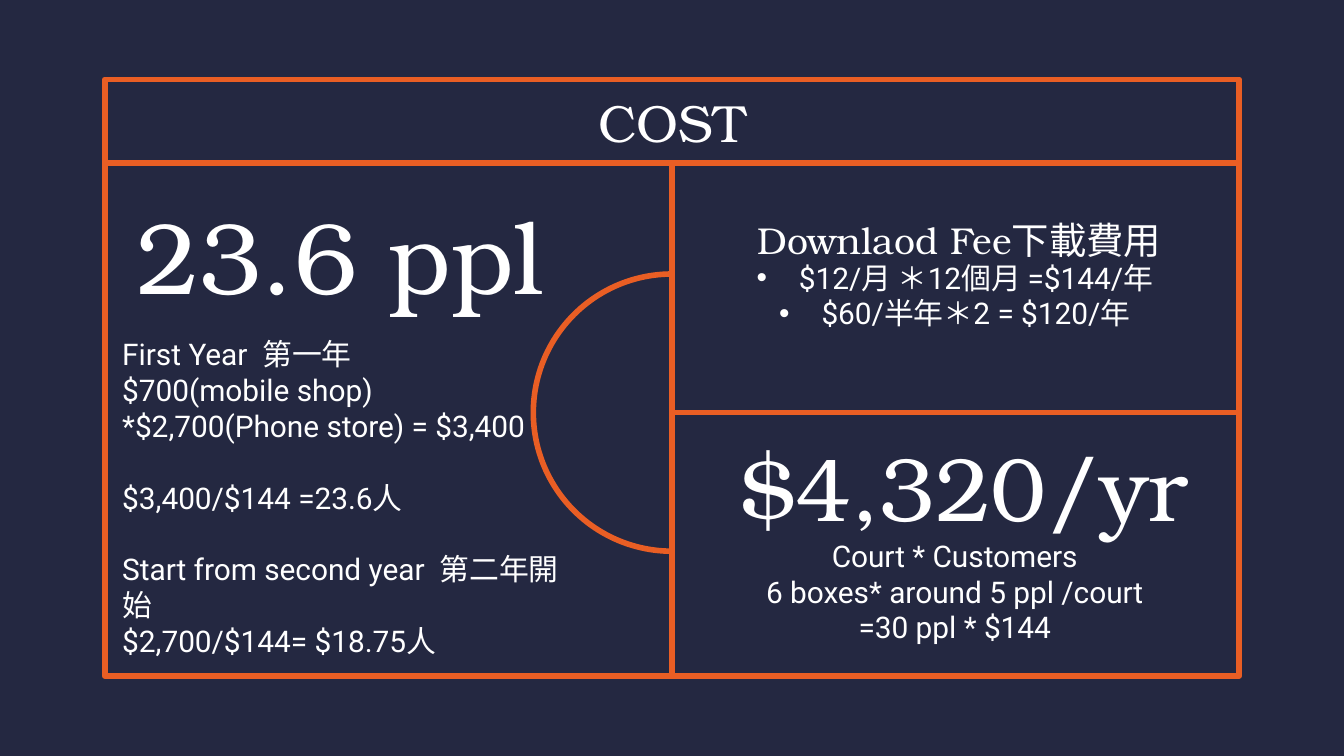
from lxml import etree
from pptx import Presentation, util as u
from pptx.dml.color import RGBColor
from pptx.enum import shapes as sh, text as tx
from pptx.oxml import ns

NAVY = RGBColor(0x24, 0x28, 0x41)
FLAME = RGBColor(0xE9, 0x5E, 0x24)
WHITE = RGBColor(0xFF, 0xFF, 0xFF)
SERIF, SANS = "TeX Gyre Bonum", "Roboto"
LEFT, MID = tx.PP_ALIGN.LEFT, tx.PP_ALIGN.CENTER
TOP, CORE = tx.MSO_ANCHOR.TOP, tx.MSO_ANCHOR.MIDDLE


def put(obj, form):
    for key, val in form.items():
        setattr(obj, key, val)


def place(part, box, x, y, w, h):
    put(part, dict(left=u.Cm(box[0] + x), top=u.Cm(box[1] + y),
                   width=u.Cm(w), height=u.Cm(h)))


def ink(part):
    part.line.color.rgb = FLAME
    part.line.width = u.Pt(3)


def rule(slide, x1, y1, x2, y2):
    line = slide.shapes.add_connector(
        sh.MSO_CONNECTOR.STRAIGHT, *map(u.Cm, (x1, y1, x2, y2)))
    ink(line)
    etree.SubElement(line._element.spPr, ns.qn("a:effectLst"))


def outline(slide, kind, x, y, w, h):
    part = slide.shapes.add_shape(kind, *map(u.Cm, (x, y, w, h)))
    part.shadow.inherit = False
    part.fill.background()
    ink(part)
    return part


def mark(para, dot):
    props = para._p.get_or_add_pPr()
    props.set("marL", str(u.Cm(0.8) if dot else 0))
    props.set("indent", str(-u.Cm(0.8) if dot else 0))
    if dot:
        etree.SubElement(props, ns.qn("a:buChar"), char="•")
    else:
        etree.SubElement(props, ns.qn("a:buNone"))


def write(part, lines, face, size, align, anchor=CORE, dot=False, gaps=()):
    frame = part.text_frame
    pad = u.Cm(0.25)
    put(frame, dict(word_wrap=True, auto_size=tx.MSO_AUTO_SIZE.NONE,
                    vertical_anchor=anchor, margin_left=pad, margin_right=pad,
                    margin_top=pad, margin_bottom=pad))
    frame.text = "\n".join(lines)
    for num, para in enumerate(frame.paragraphs):
        put(para, dict(alignment=align, space_after=u.Pt(0),
                       space_before=u.Pt(19.2 if num in gaps else 0)))
        mark(para, dot)
        for run in para.runs:
            put(run.font, dict(name=face, size=u.Pt(size), bold=False))
            run.font.color.rgb = WHITE


def label(slide, box, x, y, w, h, words, size, align):
    part = slide.shapes.add_textbox(0, 0, 0, 0)
    place(part, box, x, y, w, h)
    write(part, [words], SERIF, size, align)


def header(slide, box):
    x, y, w, h = box
    rule(slide, x, y + h, x + w, y + h)
    place(slide.shapes.title, box, 0, 0, w, h)
    write(slide.shapes.title, ["COST"], SERIF, 28, MID)


def target(slide, box, body):
    x, y, w, h = box
    rule(slide, x + w, y, x + w, y + h)
    rad = 2.62
    half = outline(slide, sh.MSO_SHAPE.PIE, x + w - rad, 7.8 - rad,
                   2 * rad, 2 * rad)
    half.adjustments[0], half.adjustments[1] = 54, 162
    label(slide, box, 0.36, 0.3, 9.7, 2.87, "23.6 ppl", 54, LEFT)
    place(body, box, 0.08, 3.02, 9.25, 6.6)
    write(body, ["First Year  第一年", "$700(mobile shop)",
                 "*$2,700(Phone store) = $3,400", "$3,400/$144 =23.6人",
                 "Start from second year  第二年開始",
                 "$2,700/$144= $18.75人"],
          SANS, 16, LEFT, TOP, gaps=(3, 4))


def fees(slide, box, body):
    x, y, w, h = box
    rule(slide, x, y + h, x + w, y + h)
    label(slide, box, 0.5, 0.55, 9.86, 1.8, "Downlaod Fee下載費用", 20, MID)
    place(body, box, 1.22, 1.57, 8.25, 3.2)
    write(body, ["$12/月 ＊12個月 =$144/年", "$60/半年＊2 = $120/年"],
          SANS, 16, MID, TOP, dot=True)


def income(slide, box, body):
    label(slide, box, 0.81, 0.48, 9.42, 1.8, "$4,320/yr", 48, MID)
    place(body, box, 1.22, 2.11, 8.25, 2.6)
    write(body, ["Court * Customers", "6 boxes* around 5 ppl /court",
                 "=30 ppl * $144"], SANS, 16, MID, TOP)


def main():
    deck = Presentation()
    put(deck, dict(slide_width=u.Cm(25.4), slide_height=u.Cm(14.29)))
    slide = deck.slides.add_slide(deck.slide_layouts[4])
    slide.background.fill.solid()
    slide.background.fill.fore_color.rgb = NAVY
    title, first, second, third, spare = slide.placeholders
    spare._element.getparent().remove(spare._element)

    x, y, w, h = 1.98, 1.5, 21.44, 11.28
    head, half, upper = 1.58, w / 2, 4.72
    top = y + head
    outline(slide, sh.MSO_SHAPE.RECTANGLE, x, y, w, h)
    header(slide, (x, y, w, head))
    target(slide, (x, top, half, h - head), first)
    fees(slide, (x + half, top, half, upper), second)
    income(slide, (x + half, top + upper, half, h - head - upper), third)
    deck.save("out.pptx")


if __name__ == "__main__":
    main()
